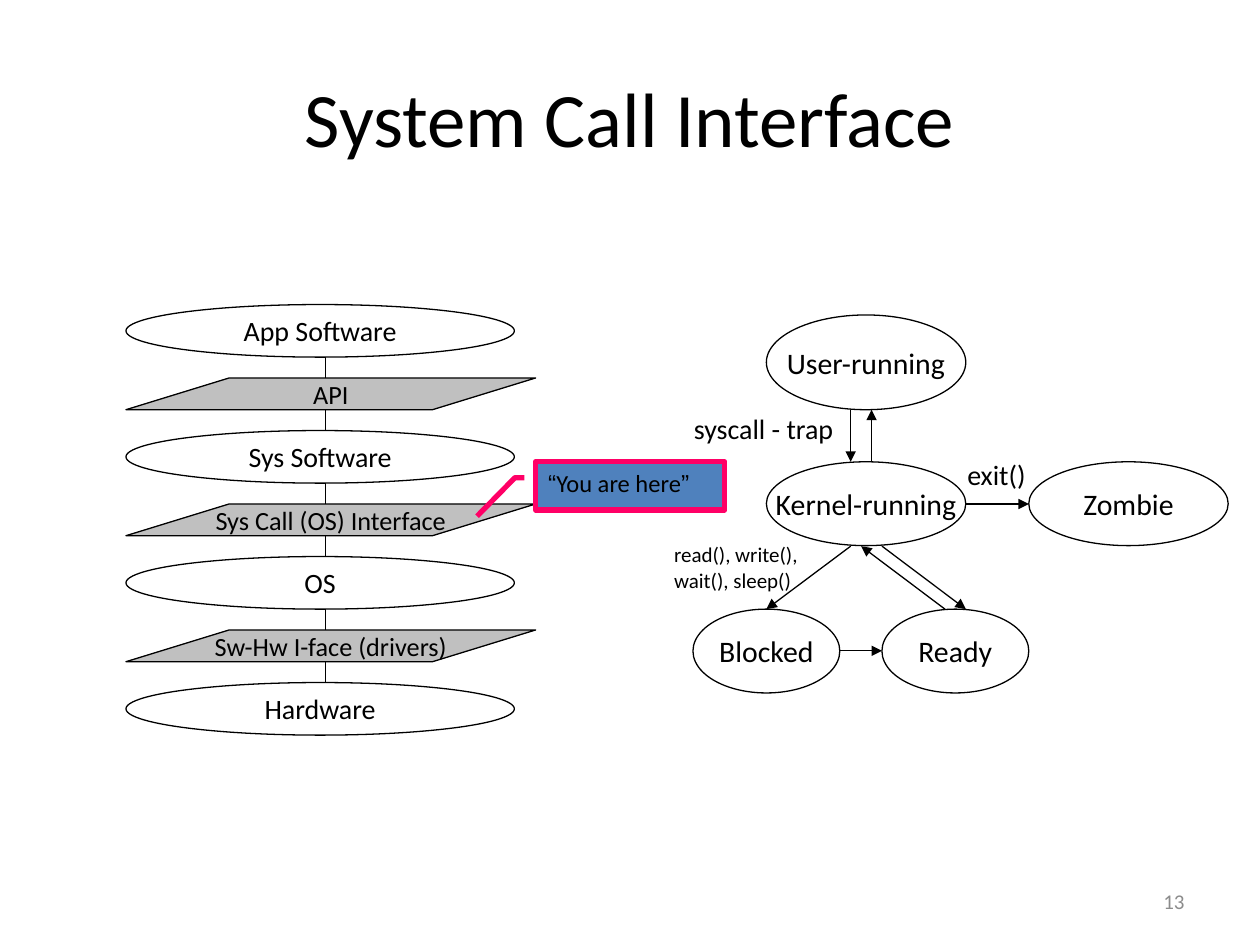
"""Build the System Call Interface slide: a software stack beside a process state diagram."""
import pptx
import pptx.util
import pptx.dml.color
import pptx.enum.shapes
import pptx.enum.text
import pptx.oxml.ns
import lxml.etree

Cm, Pt = pptx.util.Cm, pptx.util.Pt
SHAPE = pptx.enum.shapes.MSO_SHAPE
ALIGN = pptx.enum.text.PP_ALIGN
ANCHOR = pptx.enum.text.MSO_ANCHOR
COLORS = {name: pptx.dml.color.RGBColor.from_string(value) for name, value in {
    "black": "000000", "gray": "8C8C8C", "silver": "C0C0C0",
    "blue": "4F81BD", "pink": "FF0066"}.items()}


def write(box, lines, size, align=ALIGN.LEFT, anchor=ANCHOR.TOP, wrap=False, color="black"):
    """Fill a box with paragraphs, each a list of (text, font) runs."""
    frame = box.text_frame
    frame.word_wrap = wrap
    frame.vertical_anchor = anchor
    for index, spans in enumerate(lines):
        para = frame.add_paragraph() if index else frame.paragraphs[0]
        para.alignment = align
        for text, font in spans:
            span = para.add_run()
            span.text = text
            span.font.name = font
            span.font.size = Pt(size)
            span.font.color.rgb = COLORS[color]


def draw_line(start_x, start_y, end_x, end_y, arrow=True):
    """Draw a thin black line, with an arrowhead at its end if wanted."""
    line = page.shapes.add_connector(
        pptx.enum.shapes.MSO_CONNECTOR.STRAIGHT,
        Cm(start_x), Cm(start_y), Cm(end_x), Cm(end_y))
    line.line.color.rgb = COLORS["black"]
    line.line.width = Pt(0.75)
    if arrow:
        outline = line.line._get_or_add_ln()
        lxml.etree.SubElement(outline, pptx.oxml.ns.qn("a:tailEnd"), type="triangle")
    lxml.etree.SubElement(line._element.spPr, pptx.oxml.ns.qn("a:effectLst"))


deck = pptx.Presentation()
deck.slide_width, deck.slide_height = Cm(25.4), Cm(19.05)
page = deck.slides.add_slide(deck.slide_layouts[5])

title = page.shapes.title
title.left, title.top, title.width, title.height = Cm(1.27), Cm(0.76), Cm(22.86), Cm(3.18)
write(title, [[("System Call Interface", "Calibri")]], 44, ALIGN.CENTER, ANCHOR.MIDDLE, True)

number = page.shapes.add_textbox(Cm(18.2), Cm(17.66), Cm(5.93), Cm(1.01))
write(number, [[("13", "Calibri")]], 12, ALIGN.RIGHT, ANCHOR.MIDDLE, True, "gray")

nodes = [
    ("User-running", 15.45, 6.35, 4.02, 1.91, 17),
    ("Kernel-running", 15.45, 9.31, 4.02, 1.69, 17),
    ("Zombie", 20.74, 9.31, 4.02, 1.69, 17),
    ("Blocked", 13.97, 12.28, 2.96, 1.69, 17),
    ("Ready", 17.78, 12.28, 2.96, 1.69, 17),
]
layers = ["App Software", "Sys Software", "OS", "Hardware"]
interfaces = ["API", "Sys Call (OS) Interface", "Sw-Hw I-face (drivers)"]
pitch = 2.54
for level, name in enumerate(layers):
    nodes.append((name, 2.54, 6.14 + level * pitch, 7.83, 1.06, 16))

for name, left, top, width, height, size in nodes:
    node = page.shapes.add_shape(SHAPE.OVAL, Cm(left), Cm(top), Cm(width), Cm(height))
    node.shadow.inherit = False
    node.fill.background()
    node.line.color.rgb = COLORS["black"]
    node.line.width = Pt(0.75)
    write(node, [[(name, "Calibri")]], size, ALIGN.CENTER, ANCHOR.MIDDLE)

for level, name in enumerate(interfaces):
    top = 7.62 + level * pitch
    plate = page.shapes.add_shape(SHAPE.PARALLELOGRAM, Cm(2.54), Cm(top), Cm(8.26), Cm(0.64))
    plate.adjustments[0] = 3.25
    plate.shadow.inherit = False
    plate.fill.solid()
    plate.fill.fore_color.rgb = COLORS["silver"]
    plate.line.color.rgb = COLORS["black"]
    plate.line.width = Pt(0.75)
    write(plate, [[(name, "Calibri")]], 15, ALIGN.CENTER, ANCHOR.MIDDLE)
    draw_line(6.56, top - 0.42, 6.56, top, arrow=False)
    draw_line(6.56, top + 0.64, 6.56, top + 1.06, arrow=False)

transitions = [
    (17.15, 8.26, 17.15, 9.31),
    (17.57, 9.31, 17.57, 8.26),
    (19.47, 10.16, 20.74, 10.16),
    (17.15, 11.01, 15.45, 12.28),
    (17.78, 11.01, 19.47, 12.28),
    (19.05, 12.28, 17.36, 11.01),
    (16.93, 13.12, 17.78, 13.12),
]
for transition in transitions:
    draw_line(*transition)

labels = [
    (["exit()"], 19.25, 9.09, 1.75, 0.94, 16),
    (["syscall - trap"], 13.74, 8.18, 3.4, 0.94, 16),
    (["read(), write(),", "wait(), sleep()"], 13.34, 10.8, 3, 1.27, 12),
]
for lines, left, top, width, height, size in labels:
    label = page.shapes.add_textbox(Cm(left), Cm(top), Cm(width), Cm(height))
    write(label, [[(line, "Calibri")] for line in lines], size)

callout = page.shapes.add_shape(SHAPE.LINE_CALLOUT_2, Cm(10.8), Cm(9.31), Cm(3.81), Cm(0.97))
for index, value in enumerate([0.33, -0.06, 0.33, -0.11, 1.13, -0.31]):
    callout.adjustments[index] = value
callout.shadow.inherit = False
callout.fill.solid()
callout.fill.fore_color.rgb = COLORS["blue"]
callout.line.color.rgb = COLORS["pink"]
callout.line.width = Pt(3)
write(callout, [[("“", "Arial"), ("You are here", "Calibri"), ("”", "Arial")]], 14, wrap=True)

deck.save("out.pptx")
